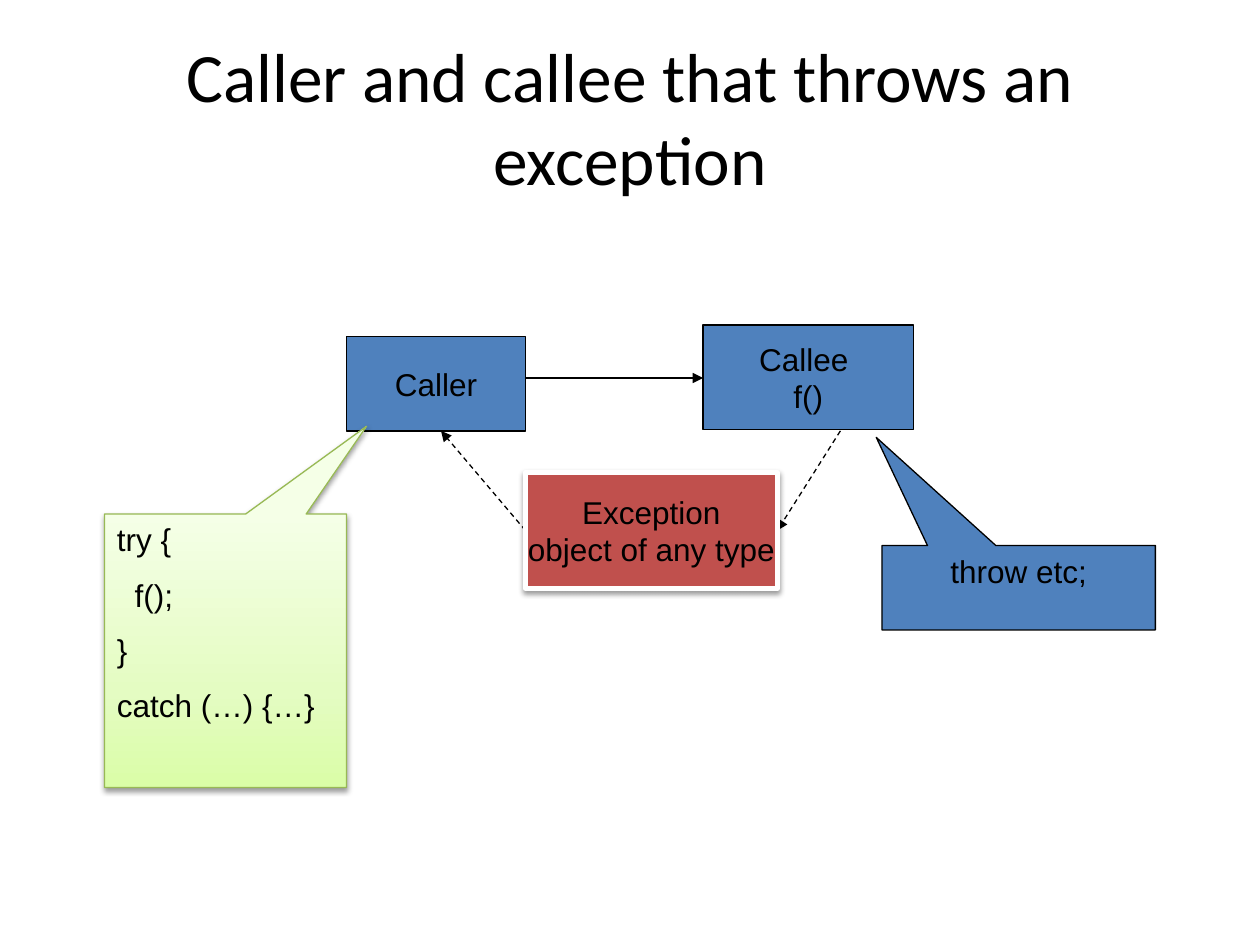
from dataclasses import dataclass

from lxml.etree import SubElement
from pptx import Presentation
from pptx.dml.color import RGBColor
from pptx.enum.dml import MSO_LINE
from pptx.enum.shapes import MSO_CONNECTOR, MSO_SHAPE
from pptx.enum.text import MSO_ANCHOR, PP_ALIGN
from pptx.oxml.ns import qn
from pptx.util import Inches, Pt


@dataclass(frozen=True)
class Theme:
    black: str = "000000"
    white: str = "FFFFFF"
    blue: str = "4F81BD"
    red: str = "C0504D"
    green_line: str = "98B955"
    green_stops: tuple = ((0, "DAFDA7"), (35, "E4FCC2"), (100, "F5FFE7"))
    title_font: str = "Calibri"
    body_font: str = "Arial"
    title_size: float = 39.6
    body_size: float = 18
    thin: float = 0.75
    thick: float = 3


THEME = Theme()


@dataclass(frozen=True)
class Box:
    lines: tuple
    bounds: tuple
    fill: str | tuple = THEME.blue
    line: str = THEME.black
    width: float = THEME.thin
    pointer: tuple = ()
    shadow: bool = False
    align: PP_ALIGN = PP_ALIGN.CENTER
    space_before: float = 0
    indents: tuple = ()


@dataclass(frozen=True)
class Arrow:
    start: tuple
    end: tuple
    dashed: bool = False


CALLS = (
    Box(("Caller",), (2.75, 2.67, 1.42, 0.75)),
    Box(("Callee ", "f()"), (5.58, 2.58, 1.67, 0.83)),
)
ARROWS = (
    Arrow((4.17, 3), (5.58, 3)),
    Arrow((6.67, 3.42), (6.17, 4.21), dashed=True),
    Arrow((4.17, 4.21), (3.5, 3.42), dashed=True),
)
DETAILS = (
    Box(("try {", "f();", "}", "catch (…) {…}"), (0.83, 4.08, 1.92, 2.17),
        fill=THEME.green_stops, line=THEME.green_line, pointer=(0.583, -0.821),
        shadow=True, align=PP_ALIGN.LEFT, space_before=10, indents=(0, 0.14, 0, 0)),
    Box(("throw etc;",), (7, 4.33, 2.17, 0.67), pointer=(-0.521, -1.781)),
    Box(("Exception", "object of any type"), (4.17, 3.75, 2, 0.92),
        fill=THEME.red, line=THEME.white, width=THEME.thick, shadow=True),
)


def write_text(text_frame, lines: tuple, *, font: str, size: float,
               align: PP_ALIGN = PP_ALIGN.CENTER, space_before: float = 0,
               indents: tuple = ()) -> None:
    for index, line in enumerate(lines):
        paragraph = text_frame.add_paragraph() if index else text_frame.paragraphs[0]
        paragraph.alignment = align
        paragraph.space_before = Pt(space_before)
        if indents:
            paragraph._p.get_or_add_pPr().set("marL", str(Inches(indents[index])))
        run = paragraph.add_run()
        run.text = line
        run.font.name = font
        run.font.size = Pt(size)
        run.font.color.rgb = RGBColor.from_string(THEME.black)


def add_color(parent, color: str):
    element = SubElement(parent, qn("a:srgbClr"))
    element.set("val", color)
    return element


def fill_gradient(shape, stops: tuple) -> None:
    shape.fill.gradient()
    shape.fill.gradient_angle = 90
    stop_list = shape._element.spPr.find(qn("a:gradFill")).find(qn("a:gsLst"))
    for old_stop in list(stop_list):
        stop_list.remove(old_stop)
    for position, color in stops:
        stop = SubElement(stop_list, qn("a:gs"))
        stop.set("pos", str(position * 1000))
        add_color(stop, color)


def add_shadow(shape) -> None:
    effects = shape._element.spPr.find(qn("a:effectLst"))
    shadow = SubElement(effects, qn("a:outerShdw"))
    for name, value in (("blurRad", Pt(3.1)), ("dist", Pt(1.6)),
                        ("dir", 90 * 60000), ("rotWithShape", 0)):
        shadow.set(name, str(int(value)))
    alpha = SubElement(add_color(shadow, THEME.black), qn("a:alpha"))
    alpha.set("val", "38000")


def add_box(slide, box: Box) -> None:
    kind = MSO_SHAPE.RECTANGULAR_CALLOUT if box.pointer else MSO_SHAPE.RECTANGLE
    shape = slide.shapes.add_shape(kind, *map(Inches, box.bounds))
    shape.shadow.inherit = False
    for index, value in enumerate(box.pointer):
        shape.adjustments[index] = value
    if isinstance(box.fill, tuple):
        fill_gradient(shape, box.fill)
    else:
        shape.fill.solid()
        shape.fill.fore_color.rgb = RGBColor.from_string(box.fill)
    shape.line.color.rgb = RGBColor.from_string(box.line)
    shape.line.width = Pt(box.width)
    if box.shadow:
        add_shadow(shape)
    text_frame = shape.text_frame
    text_frame.word_wrap = bool(box.pointer)
    text_frame.vertical_anchor = MSO_ANCHOR.TOP if box.pointer else MSO_ANCHOR.MIDDLE
    write_text(text_frame, box.lines, font=THEME.body_font, size=THEME.body_size,
               align=box.align, space_before=box.space_before, indents=box.indents)


def add_arrow(slide, arrow: Arrow) -> None:
    connector = slide.shapes.add_connector(
        MSO_CONNECTOR.STRAIGHT, *map(Inches, arrow.start + arrow.end))
    connector.line.color.rgb = RGBColor.from_string(THEME.black)
    connector.line.width = Pt(THEME.thin)
    if arrow.dashed:
        connector.line.dash_style = MSO_LINE.DASH
    properties = connector._element.spPr
    SubElement(properties.find(qn("a:ln")), qn("a:tailEnd")).set("type", "triangle")
    SubElement(properties, qn("a:effectLst"))


def add_title(slide, text: str) -> None:
    title = slide.shapes.title
    title.left, title.top, title.width, title.height = map(Inches, (0.5, 0.3, 9, 1.25))
    title.text_frame.word_wrap = True
    title.text_frame.vertical_anchor = MSO_ANCHOR.MIDDLE
    write_text(title.text_frame, (text,), font=THEME.title_font, size=THEME.title_size)


presentation = Presentation()
presentation.slide_width, presentation.slide_height = Inches(10), Inches(7.5)
slide = presentation.slides.add_slide(presentation.slide_layouts.get_by_name("Title Only"))

add_title(slide, "Caller and callee that throws an exception")

# Caller and callee, joined by the call and the thrown exception
for call in CALLS:
    add_box(slide, call)
for arrow in ARROWS:
    add_arrow(slide, arrow)

# Code callouts and the exception object, in front of the arrows
for detail in DETAILS:
    add_box(slide, detail)

presentation.save("out.pptx")
